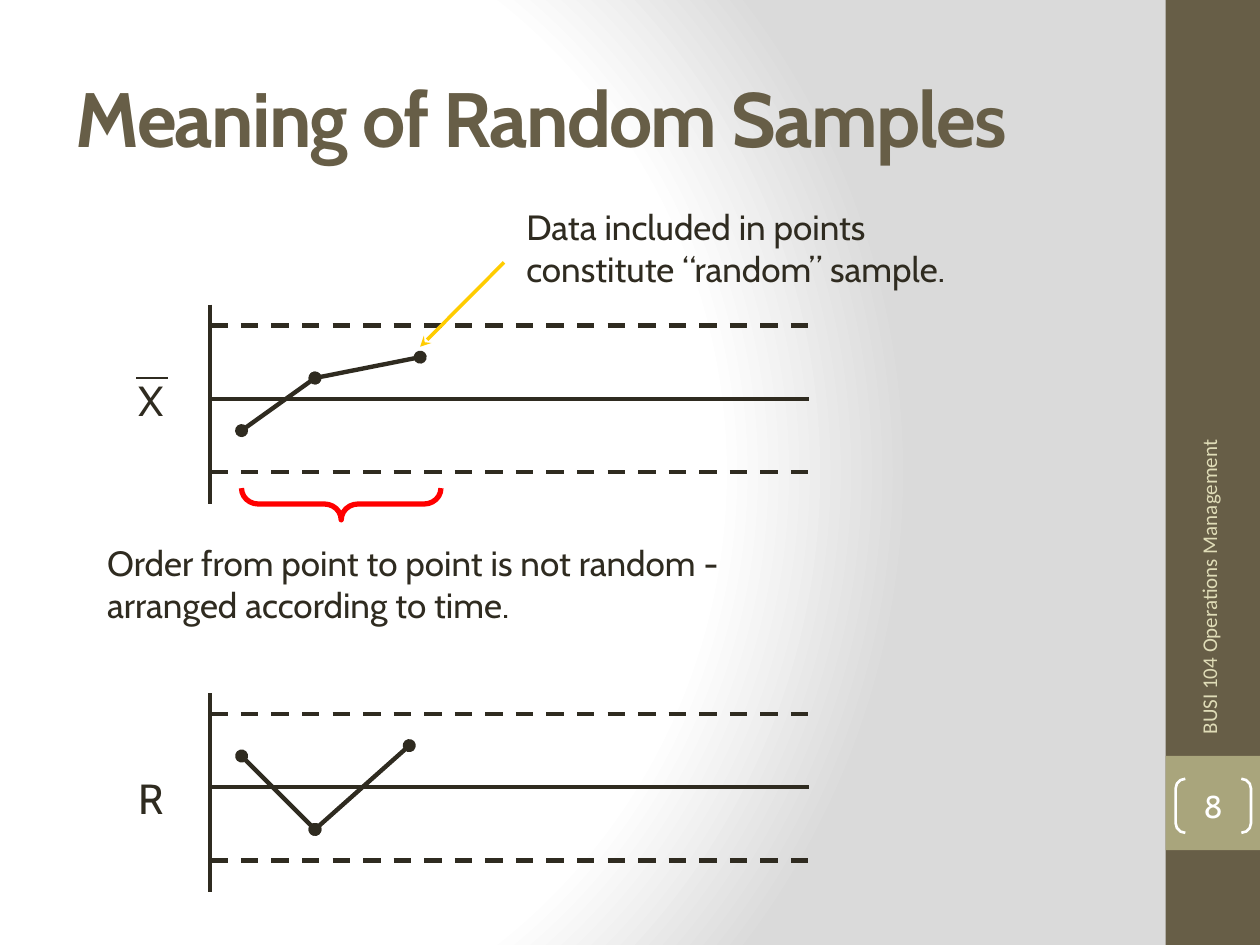
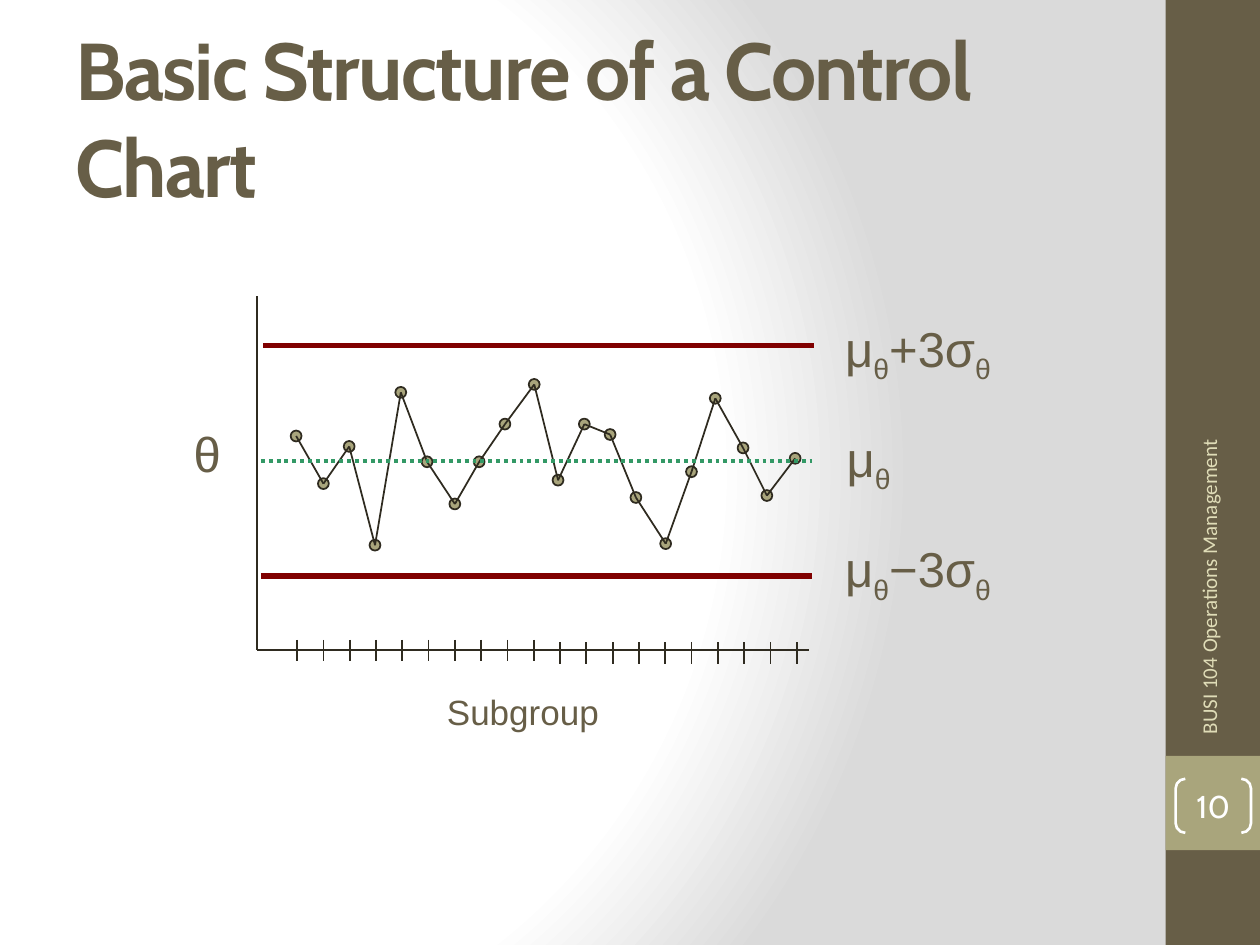
import itertools

import pptx
import pptx.dml.color
import pptx.enum.dml
import pptx.enum.shapes
import pptx.enum.text
import pptx.oxml
import pptx.oxml.ns
import pptx.util

Cm = pptx.util.Cm
Pt = pptx.util.Pt
RGBColor = pptx.dml.color.RGBColor
MSO_SHAPE = pptx.enum.shapes.MSO_SHAPE
DASH = pptx.enum.dml.MSO_LINE
ANCHOR = pptx.enum.text.MSO_ANCHOR
ALIGN = pptx.enum.text.PP_ALIGN
AUTO_SIZE = pptx.enum.text.MSO_AUTO_SIZE

BROWN = RGBColor(0x67, 0x5E, 0x47)
OLIVE = RGBColor(0xA9, 0xA5, 0x7C)
CREAM = RGBColor(0xDF, 0xDC, 0xB7)
INK = RGBColor(0x2F, 0x2B, 0x20)
WHITE = RGBColor(0xFF, 0xFF, 0xFF)
RED = RGBColor(0xFF, 0x00, 0x00)
GOLD = RGBColor(0xFF, 0xCC, 0x00)
MAROON = RGBColor(0x80, 0x00, 0x00)
GREEN = RGBColor(0x33, 0x99, 0x66)

NO_INSETS = dict(margin_left=0, margin_top=0, margin_right=0, margin_bottom=0)
GRADIENT = f"""
<a:gradFill {pptx.oxml.ns.nsdecls("a")} rotWithShape="1">
  <a:gsLst>
    <a:gs pos="0"><a:srgbClr val="FFFFFF"/></a:gs>
    <a:gs pos="75000"><a:srgbClr val="FFFFFF"/></a:gs>
    <a:gs pos="100000"><a:srgbClr val="DADADA"/></a:gs>
  </a:gsLst>
  <a:path path="circle">
    <a:fillToRect l="20000" t="50000" r="100000" b="50000"/>
  </a:path>
</a:gradFill>"""


def apply(target, values):
    for attribute, value in values.items():
        setattr(target, attribute, value)


class Deck:
    """Holds the shared style and the current slide; lengths are in centimetres."""

    def __init__(self):
        self.prs = pptx.Presentation()
        self.prs.slide_width, self.prs.slide_height = Cm(25.4), Cm(19.05)
        self.slide = None
        master = self.prs.slide_master
        master.background.fill.gradient()
        gradient = master.element.xpath("./p:cSld/p:bg/p:bgPr/a:gradFill")[0]
        gradient.getparent().replace(gradient, pptx.oxml.parse_xml(GRADIENT))

    def new_slide(self, title, title_size, number):
        self.slide = self.prs.slides.add_slide(self.prs.slide_layouts[5])
        self.shape(MSO_SHAPE.RECTANGLE, (23.5, 0, 1.9, 19.05), fill=BROWN)
        self.shape(MSO_SHAPE.RECTANGLE, (23.5, 15.24, 1.9, 1.9), fill=OLIVE)

        heading = self.slide.shapes.title
        self.place(heading, (1.27, 0.76, 21.16, 3.18))
        self.fill_text(heading, [title], title_size, BROWN, bold=True, spacing=-100,
                       frame={"vertical_anchor": ANCHOR.MIDDLE})

        self.text(["BUSI 104 Operations Management"], (19.71, 9.88, 9.32, 1.02), 12,
                  CREAM, font="Calibri", rotation=270,
                  frame={"vertical_anchor": ANCHOR.MIDDLE})
        brackets = self.shape(MSO_SHAPE.DOUBLE_BRACKET, (23.7, 15.7, 1.52, 1.09),
                              line=WHITE, width=1.5, adjust=[0.179])
        self.fill_text(brackets, [str(number)], 18, WHITE, align=ALIGN.CENTER,
                       frame={"vertical_anchor": ANCHOR.MIDDLE, **NO_INSETS})

    def place(self, item, box):
        apply(item, dict(zip(("left", "top", "width", "height"), map(Cm, box))))

    def fill_text(self, holder, runs, size, color, font="Cabin", bold=False,
                  spacing=None, align=ALIGN.LEFT, frame=None):
        """Fill a one-paragraph frame; every second run is a subscript."""
        text_frame = holder.text_frame
        apply(text_frame, {"word_wrap": True, "auto_size": AUTO_SIZE.NONE, **(frame or {})})
        paragraph = text_frame.paragraphs[0]
        paragraph.alignment = align
        for index, words in enumerate(runs):
            run = paragraph.add_run()
            run.text = words
            apply(run.font, {"name": font, "size": Pt(size), "bold": bold})
            run.font.color.rgb = color
            properties = run._r.get_or_add_rPr()
            if spacing is not None:
                properties.set("spc", str(spacing))
            if index % 2:
                properties.set("baseline", "-25000")

    def text(self, runs, box, size, color, rotation=0, **style):
        holder = self.slide.shapes.add_textbox(*map(Cm, box))
        holder.rotation = rotation
        self.fill_text(holder, runs, size, color, **style)

    def shape(self, kind, box, fill=None, line=None, width=1, adjust=(), rotation=0):
        item = self.slide.shapes.add_shape(kind, *map(Cm, box))
        item.shadow.inherit = False
        item.rotation = rotation
        for index, value in enumerate(adjust):
            item.adjustments[index] = value
        if fill is None:
            item.fill.background()
        else:
            item.fill.solid()
            item.fill.fore_color.rgb = fill
        if line is None:
            item.line.fill.background()
        else:
            item.line.color.rgb = line
            item.line.width = Pt(width)
        return item

    def line(self, start, end, color=INK, width=1.0, dash=None, head=None, tail=None):
        item = self.slide.shapes.add_connector(
            pptx.enum.shapes.MSO_CONNECTOR.STRAIGHT, *map(Cm, (*start, *end)))
        item.line.color.rgb = color
        item.line.width = Pt(width)
        if dash is not None:
            item.line.dash_style = dash
        outline = item.line._get_or_add_ln()
        for tag, ending in (("a:headEnd", head), ("a:tailEnd", tail)):
            if ending:
                arrowhead = pptx.oxml.parse_xml(
                    f'<{tag} {pptx.oxml.ns.nsdecls("a")} type="{ending}"/>')
                outline.append(arrowhead)
        item._element.spPr.append(
            pptx.oxml.parse_xml(f'<a:effectLst {pptx.oxml.ns.nsdecls("a")}/>'))

    def line_through(self, points, **style):
        for start, end in itertools.pairwise(points):
            self.line(start, end, **style)

    def control_frame(self, top):
        """Vertical axis with dashed limits and a solid centre line."""
        left, right = 4.24, 16.31
        self.line((left, top), (left, top + 4.02), width=2.25)
        for offset, dash in ((3.38, DASH.DASH), (0.42, DASH.DASH), (1.9, None)):
            self.line((left, top + offset), (right, top + offset), width=2.5, dash=dash)


def random_samples(deck):
    deck.new_slide("Meaning of Random Samples", 44, 8)
    deck.text(["R"], (2.54, 15.44, 1.27, 1.02), 24, INK)
    deck.text(["Data included in points constitute “random” sample."],
              (10.36, 4.01, 9.73, 1.91), 20, INK)
    deck.text(["Order from point to point is not random - arranged according to time."],
              (1.91, 10.8, 12.92, 1.27), 20, INK)
    deck.text(["X"], (2.54, 7.42, 0.97, 1.27), 24, INK,
              frame={"word_wrap": False, "auto_size": AUTO_SIZE.SHAPE_TO_FIT_TEXT})
    deck.line((2.75, 7.62), (3.39, 7.62))

    means = [(4.87, 8.68), (6.35, 7.62), (8.47, 7.2)]
    ranges = [(4.87, 15.24), (6.35, 16.72), (8.25, 15.03)]
    for top, samples in ((6.14, means), (13.97, ranges)):
        deck.control_frame(top)
        deck.line_through(samples, width=2.5, head="oval", tail="oval")
    deck.shape(MSO_SHAPE.LEFT_BRACE, (6.56, 8.15, 0.64, 4.02), line=RED, width=3,
               adjust=[0.528, 0.5], rotation=270)
    deck.line((10.16, 5.29), (8.47, 6.99), GOLD, 2, tail="stealth")


def control_chart(deck):
    deck.new_slide("Basic Structure of a Control Chart", 46, 10)
    origin = (5.18, 13.11)
    deck.line((5.18, 5.97), origin)
    deck.line(origin, (16.31, 13.11))

    subgroups = [
        (5.97, 8.79), (6.52, 9.75), (7.04, 9.0), (7.56, 10.99), (8.08, 7.91),
        (8.61, 9.31), (9.17, 10.16), (9.66, 9.31), (10.18, 8.55), (10.77, 7.75),
        (11.25, 9.68), (11.78, 8.55), (12.3, 8.76), (12.82, 10.03), (13.42, 10.96),
        (13.94, 9.51), (14.42, 8.03), (14.98, 9.03), (15.46, 9.99), (16.03, 9.24),
    ]
    dot = 0.22
    for x, y in subgroups:
        deck.shape(MSO_SHAPE.OVAL, (x - dot / 2, y - dot / 2, dot, dot),
                   fill=OLIVE, line=INK)
    for index in range(len(subgroups)):
        x = 5.99 + 0.53 * index
        top = 12.9 if index < 10 else 12.95
        deck.line((x, top), (x, top + 0.43))
    deck.line_through(subgroups)

    for left, y, style in (
        (5.26, 11.61, dict(color=MAROON, width=3)),
        (5.31, 6.96, dict(color=MAROON, width=3)),
        (5.26, 9.29, dict(color=GREEN, width=2.25, dash=DASH.ROUND_DOT)),
    ):
        deck.line((left, y), (left + 11.1, y), **style)

    deck.text(["Subgroup"], (8.76, 13.79, 3.58, 1.09), 20, BROWN, font="Arial",
              frame={"word_wrap": False, "auto_size": AUTO_SIZE.SHAPE_TO_FIT_TEXT})
    for runs, box, align in (
        (["θ"], (2.59, 8.41, 3.18, 1.45), ALIGN.CENTER),
        (["μ", "θ", "+3σ", "θ"], (16.79, 6.3, 3.84, 1.45), ALIGN.LEFT),
        (["μ", "θ"], (16.82, 8.51, 1.73, 1.45), ALIGN.LEFT),
        (["μ", "θ", "−3σ", "θ"], (16.79, 10.74, 3.84, 1.45), ALIGN.LEFT),
    ):
        deck.text(runs, box, 28, BROWN, font="Arial", align=align)


def main():
    deck = Deck()
    random_samples(deck)
    control_chart(deck)
    deck.prs.save("out.pptx")


if __name__ == "__main__":
    main()
